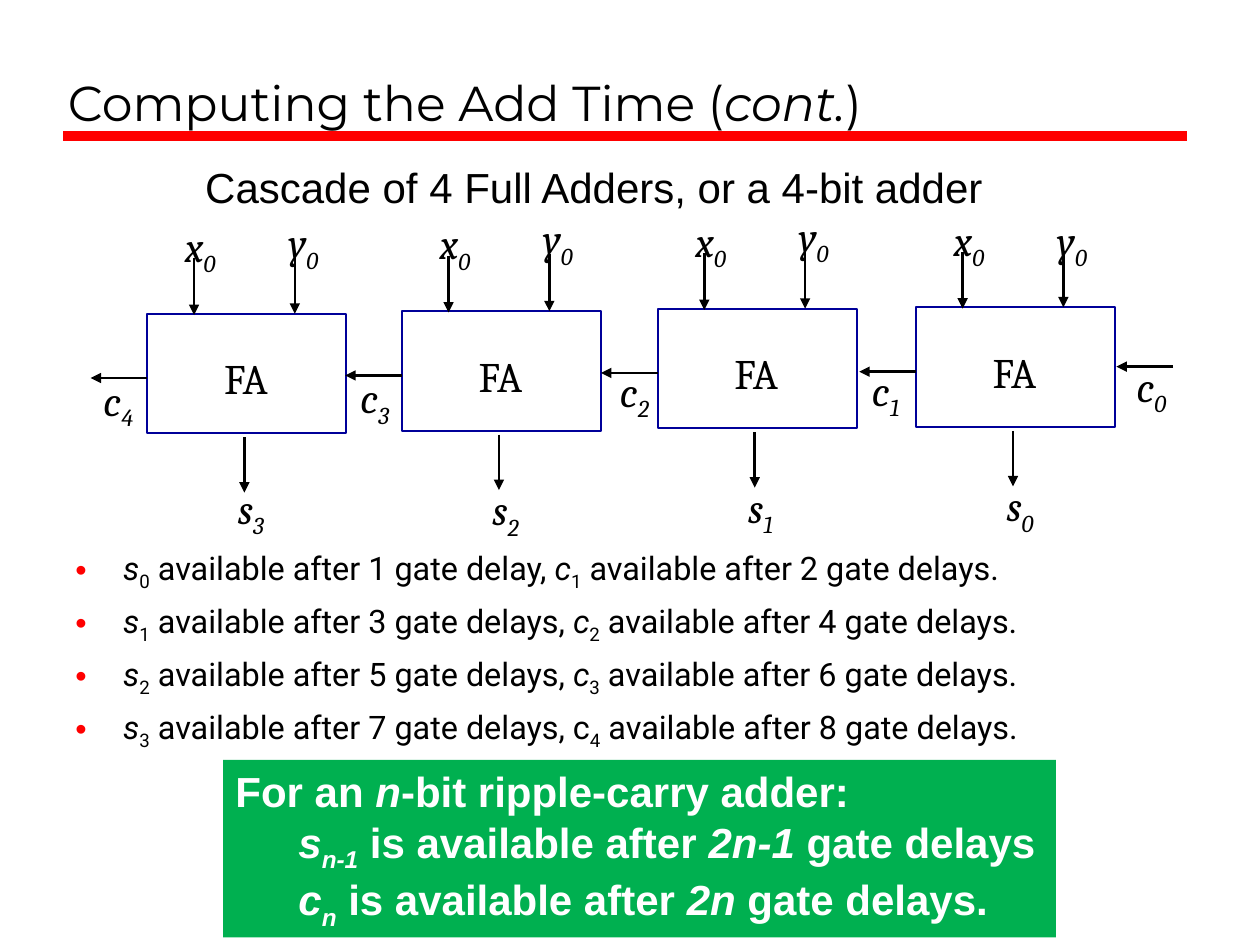
from lxml.etree import SubElement
from pptx import Presentation
from pptx.dml.color import RGBColor as RGB
from pptx.enum.shapes import MSO_CONNECTOR as Link, MSO_SHAPE as Form
from pptx.enum.text import MSO_ANCHOR as Anchor, MSO_AUTO_SIZE as Fit
from pptx.oxml.ns import qn
from pptx.util import Inches, Pt

BLACK = RGB(0, 0, 0)
WHITE = RGB(255, 255, 255)
RED = RGB(255, 0, 0)
NAVY = RGB(0, 0, 0x99)
GREEN = RGB(0, 0xB0, 0x50)

BOX_W, BOX_H = 1.58, 0.95

# Each adder: left, top, y label top, sum label top, carry label place
ADDERS = [
    (1.17, 2.49, 1.67, 3.78, 0.72, 2.92),
    (3.19, 2.47, 1.64, 3.79, 2.76, 2.90),
    (5.22, 2.45, 1.62, 3.77, 4.82, 2.85),
    (7.27, 2.44, 1.65, 3.76, 6.82, 2.84),
]

DELAYS = [
    "/s/~0~ available after 1 gate delay, /c/~1~ available after 2 gate delays.",
    "/s/~1~ available after 3 gate delays, /c/~2~ available after 4 gate delays.",
    "/s/~2~ available after 5 gate delays, /c/~3~ available after 6 gate delays.",
    "/s/~3~ available after 7 gate delays, c~4~ available after 8 gate delays.",
]

RESULT = [
    "For an /n/-bit ripple-carry adder:",
    "/s~n-1~/ is available after /2n-1/ gate delays",
    "/c~n~/ is available after /2n/ gate delays.",
]


def add_runs(para, text, font, size, color, bold):
    """Slashes enclose italics, tildes enclose subscripts."""
    for i, part in enumerate(text.split("/")):
        for j, bit in enumerate(part.split("~")):
            if not bit:
                continue
            run = para.add_run()
            run.text = bit
            run.font.name, run.font.size = font, Pt(size)
            run.font.color.rgb = color
            run.font.bold, run.font.italic = bold, i % 2 == 1
            if j % 2:
                run.font._element.set("baseline", "-25000")


def add_bullet(para):
    props = para._p.get_or_add_pPr()
    color = SubElement(props, qn("a:buClr"))
    SubElement(color, qn("a:srgbClr"), val=str(RED))
    SubElement(props, qn("a:buFont"), typeface="Arial")
    SubElement(props, qn("a:buChar"), char="•")


def add_text(slide, lines, x, y, w, h, font="Cambria", size=24, color=BLACK,
             bold=False, wrap=True, anchor=Anchor.TOP, fill=None,
             bullet=False, before=0, indent=0):
    """Write lines; indent applies to every line after the first."""
    box = slide.shapes.add_textbox(Inches(x), Inches(y), Inches(w), Inches(h))
    if fill is not None:
        box.fill.solid()
        box.fill.fore_color.rgb = fill
    frame = box.text_frame
    frame.word_wrap, frame.vertical_anchor = wrap, anchor
    if not wrap:
        frame.auto_size = Fit.SHAPE_TO_FIT_TEXT
    for i, line in enumerate(lines):
        para = frame.add_paragraph() if i else frame.paragraphs[0]
        para.space_before = Pt(before)
        props = para._p.get_or_add_pPr()
        if bullet:
            props.set("marL", str(Inches(0.38)))
            props.set("indent", str(Inches(-0.38)))
            add_bullet(para)
        elif i and indent:
            props.set("marL", str(Inches(indent)))
        add_runs(para, line, font, size, color, bold)


def add_line(slide, x1, y1, x2, y2, color=BLACK, width=1.39, arrow=True):
    line = slide.shapes.add_connector(
        Link.STRAIGHT, Inches(x1), Inches(y1), Inches(x2), Inches(y2))
    line.line.color.rgb, line.line.width = color, Pt(width)
    if arrow:
        SubElement(line.line._get_or_add_ln(), qn("a:tailEnd"), type="triangle")
    SubElement(line._element.spPr, qn("a:effectLst"))


def add_label(slide, text, x, y, w=0.44, h=0.56):
    add_text(slide, [text], x, y, w, h, wrap=False)


def add_adder(slide, bit, left, top, y_top, s_top, c_left, c_top):
    box = slide.shapes.add_shape(
        Form.RECTANGLE, Inches(left), Inches(top), Inches(BOX_W), Inches(BOX_H))
    box.shadow.inherit = False
    box.fill.background()
    box.line.color.rgb, box.line.width = NAVY, Pt(1.13)
    add_label(slide, "FA", left + 0.51, top + 0.26, 0.57, 0.5)

    # Inputs, sum and carry out
    for dx, dy in ((0.37, 0.01), (1.17, 0)):
        add_line(slide, left + dx, top + dy - 0.45, left + dx, top + dy)
    add_line(slide, left + 0.77, top + 0.98, left + 0.77, top + 1.42)
    add_line(slide, left, top + 0.51, left - 0.45, top + 0.51)
    add_label(slide, "/x~0~/", left + 0.2, top - 0.79)
    add_label(slide, "/y~0~/", left + 1.02, y_top)
    add_label(slide, f"/s~{bit}~/", left + 0.62, s_top)
    add_label(slide, f"/c~{bit + 1}~/", c_left, c_top)


def main():
    deck = Presentation()
    deck.slide_width, deck.slide_height = Inches(10), Inches(7.5)
    slide = deck.slides.add_slide(deck.slide_layouts[6])

    # Heading
    add_line(slide, 0.5, 1.08, 9.42, 1.08, color=RED, width=6, arrow=False)
    add_text(slide, ["Computing the Add Time (/cont./)"], 0.44, 0.17, 8.97,
             0.92, font="Montserrat", size=28, anchor=Anchor.BOTTOM)
    add_text(slide, ["Cascade of 4 Full Adders, or a 4-bit adder"],
             1.53, 1.23, 6.89, 0.5, font="Arial")

    # Adder chain, highest bit first
    for i, place in enumerate(ADDERS):
        add_adder(slide, len(ADDERS) - 1 - i, *place)
    add_line(slide, 9.31, 2.91, 8.86, 2.91)
    add_label(slide, "/c~0~/", 8.92, 2.81)

    # Delays and result
    add_text(slide, DELAYS, 0.5, 4.3, 8.94, 1.72, font="Roboto", size=18.5,
             bullet=True, before=5)
    add_text(slide, RESULT, 1.77, 6.03, 6.61, 1.41, font="Arial", color=WHITE,
             bold=True, fill=GREEN, indent=0.5)

    deck.save("out.pptx")


main()
